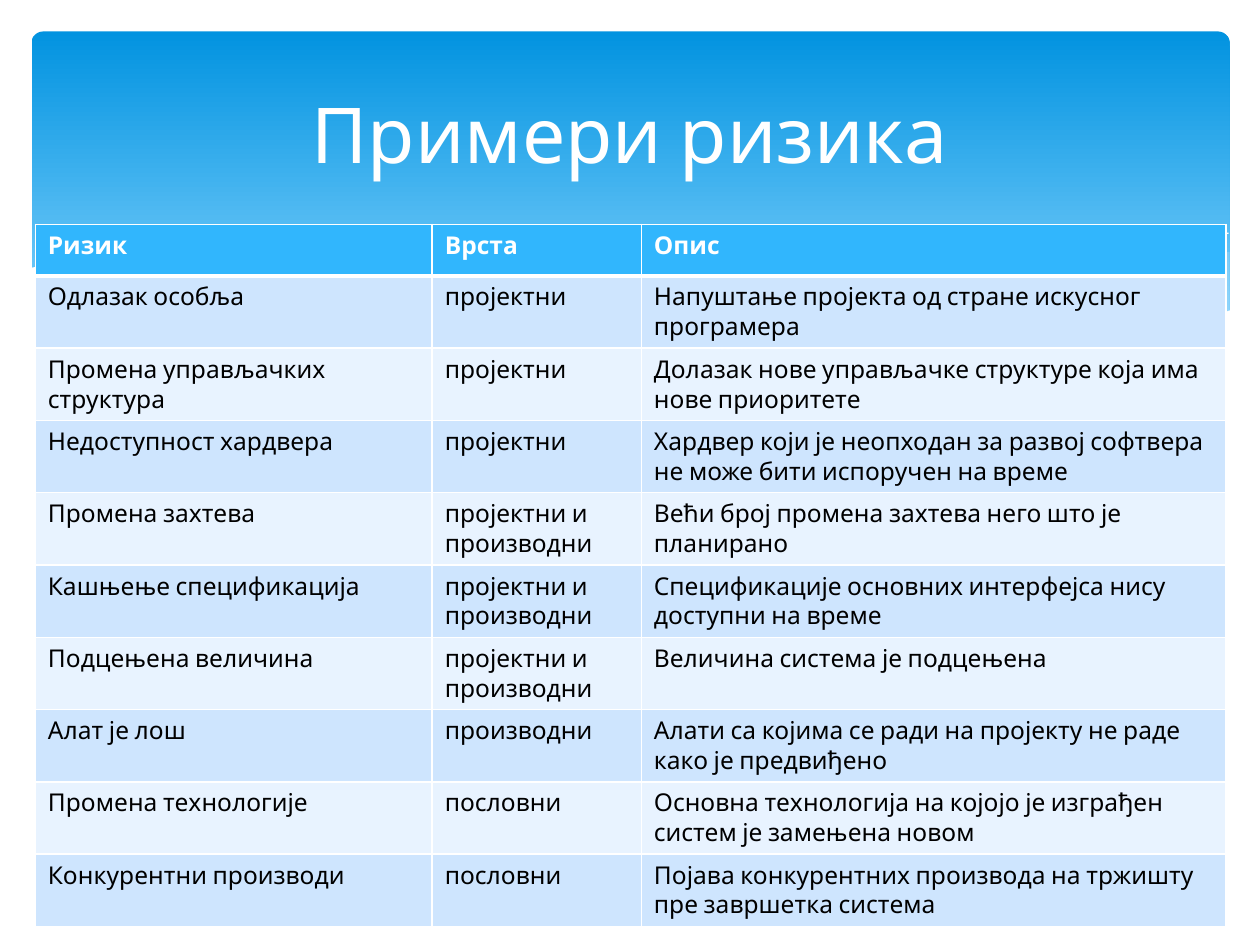
from dataclasses import dataclass
from lxml.etree import SubElement
from pptx import Presentation
from pptx.dml.color import RGBColor
from pptx.enum.shapes import MSO_SHAPE
from pptx.enum.text import MSO_ANCHOR, PP_ALIGN
from pptx.oxml import parse_xml
from pptx.oxml.ns import nsdecls, qn
from pptx.util import Inches, Pt

# The slide is a grid of 1000 columns by 750 rows
UNIT = Inches(0.01)
COLS, ROWS = 1000, 750


@dataclass(frozen=True)
class Theme:
    font: str = "Cabin"
    title: int = 44
    body: int = 14
    white: str = "FFFFFF"
    black: str = "000000"
    deep: str = "0293E0"
    sky: str = "83D3FE"
    mist: str = "C6E7FC"
    head: str = "31B6FD"
    bands: tuple = ("CEE5FE", "E8F3FF")


THEME = Theme()

# Waves: points from the banner's corner, fill, opacity in percent
WAVES = [
    ([(950, 175), (923, 179), (896, 185), (836, 198), (780, 212), (728, 223),
      (636, 240), (680, 246), (720, 249), (767, 252), (810, 252), (847, 249),
      (880, 244), (917, 234), (951, 222), (951, 175)], THEME.mist, 29),
    ([(868, 248), (812, 240), (716, 222), (604, 197), (559, 186), (516, 178),
      (464, 169), (395, 162), (336, 160), (288, 163), (261, 166), (337, 174),
      (424, 191), (541, 223), (609, 239), (670, 247), (732, 252), (793, 253),
      (842, 251)], THEME.mist, 40),
    ([(284, 170), (310, 166), (349, 163), (391, 162), (444, 163), (508, 169),
      (583, 179), (670, 194), (770, 216), (844, 236), (882, 247)], None, 100),
    ([(588, 232), (670, 210), (751, 191), (841, 174), (899, 165),
      (950, 160)], None, 100),
    ([(952, 221), (915, 234), (874, 244), (825, 250), (768, 252), (701, 247),
      (623, 237), (530, 220), (422, 195), (340, 177), (267, 165), (205, 160),
      (152, 159), (107, 162), (70, 168), (34, 178), (11, 185), (-2, 188),
      (-2, 304), (952, 304)], THEME.white, 100),
]

RISKS = [
    ("Ризик", "Врста", "Опис"),
    ("Одлазак особља", "пројектни",
     "Напуштање пројекта од стране искусног програмера"),
    ("Промена управљачких структура", "пројектни",
     "Долазак нове управљачке структуре која има нове приоритете"),
    ("Недоступност хардвера", "пројектни",
     "Хардвер који је неопходан за развој софтвера не може бити испоручен на време"),
    ("Промена захтева", "пројектни и производни",
     "Већи број промена захтева него што је планирано"),
    ("Кашњење спецификација", "пројектни и производни",
     "Спецификације основних интерфејса нису доступни на време"),
    ("Подцењена величина", "пројектни и производни",
     "Величина система је подцењена"),
    ("Алат је лош", "производни",
     "Алати са којима се ради на пројекту не раде како је предвиђено"),
    ("Промена технологије", "пословни",
     "Основна технологија на којојо је изграђен систем је замењена новом"),
    ("Конкурентни производи", "пословни",
     "Појава конкурентних производа на тржишту пре завршетка система"),
]


def tint(name):
    return RGBColor.from_string(name)


def scale(box):
    return [UNIT * side for side in box]


def write(para, text, size, color, bold=False):
    run = para.add_run()
    run.text = text
    font = run.font
    font.name, font.size, font.bold = THEME.font, Pt(size), bold
    font.color.rgb = tint(color)


def draw_wave(shapes, box, points, color, alpha):
    left, top = box[:2]
    spots = [(left + x, top + y) for x, y in points]
    pen = shapes.build_freeform(*spots[0], scale=UNIT)
    pen.add_line_segments(spots[1:], close=color is not None)
    wave = pen.convert_to_shape()
    wave.shadow.inherit = False
    if color is None:
        wave.fill.background()
        wave.line.color.rgb = tint(THEME.white)
        wave.line.width = Pt(0)
        return
    wave.line.fill.background()
    wave.fill.solid()
    wave.fill.fore_color.rgb = tint(color)
    if alpha < 100:
        mark = wave.element.spPr.find(qn("a:solidFill"))[0]
        SubElement(mark, qn("a:alpha"), val=str(alpha * 1000))


def draw_banner(shapes, box):
    # Blue panel fading downwards
    panel = shapes.add_shape(MSO_SHAPE.ROUNDED_RECTANGLE, *scale(box))
    panel.adjustments[0] = 0.034
    panel.shadow.inherit = False
    panel.line.fill.background()
    panel.fill.gradient()
    panel.fill.gradient_angle = 270
    stops = zip(panel.fill.gradient_stops, (0, 0.9), (THEME.deep, THEME.sky))
    for stop, place, color in stops:
        stop.position = place
        stop.color.rgb = tint(color)
    # Waves along its lower edge
    for wave in WAVES:
        draw_wave(shapes, box, *wave)


def set_title(shapes, box, text):
    title = shapes.title
    title.left, title.top, title.width, title.height = scale(box)
    frame = title.text_frame
    frame.word_wrap = True
    frame.vertical_anchor = MSO_ANCHOR.MIDDLE
    para = frame.paragraphs[0]
    para.alignment = PP_ALIGN.CENTER
    write(para, text, THEME.title, THEME.white)
    # Bring the title in front of the banner
    shapes.element.append(title.element)


def edge_cell(cell, base):
    props = cell._tc.get_or_add_tcPr()
    for side, width in zip("LRTB", (1, 1, 1, base)):
        props.append(parse_xml(
            f'<a:ln{side} {nsdecls("a")} w="{Pt(width)}"><a:solidFill>'
            f'<a:srgbClr val="{THEME.white}"/></a:solidFill></a:ln{side}>'))


def fill_table(shapes, box, widths, data):
    frame = shapes.add_table(len(data), len(widths), *scale(box))
    table = frame.table
    for col, width in zip(table.columns, widths):
        col.width = UNIT * width
    for i, line in enumerate(data):
        head = i == 0
        back = THEME.head if head else THEME.bands[(i - 1) % 2]
        ink = THEME.white if head else THEME.black
        for j, text in enumerate(line):
            cell = table.cell(i, j)
            edge_cell(cell, 3 if head else 1)
            cell.fill.solid()
            cell.fill.fore_color.rgb = tint(back)
            write(cell.text_frame.paragraphs[0], text, THEME.body, ink, head)


def main():
    deck = Presentation()
    deck.slide_width, deck.slide_height = UNIT * COLS, UNIT * ROWS
    shapes = deck.slides.add_slide(deck.slide_layouts[5]).shapes
    draw_banner(shapes, (25, 25, 951, 270))
    fill_table(shapes, (28, 178, 945, 410), (315, 166, 464), RISKS)
    set_title(shapes, (50, 37, 900, 137), "Примери ризика")
    deck.save("out.pptx")


if __name__ == "__main__":
    main()
